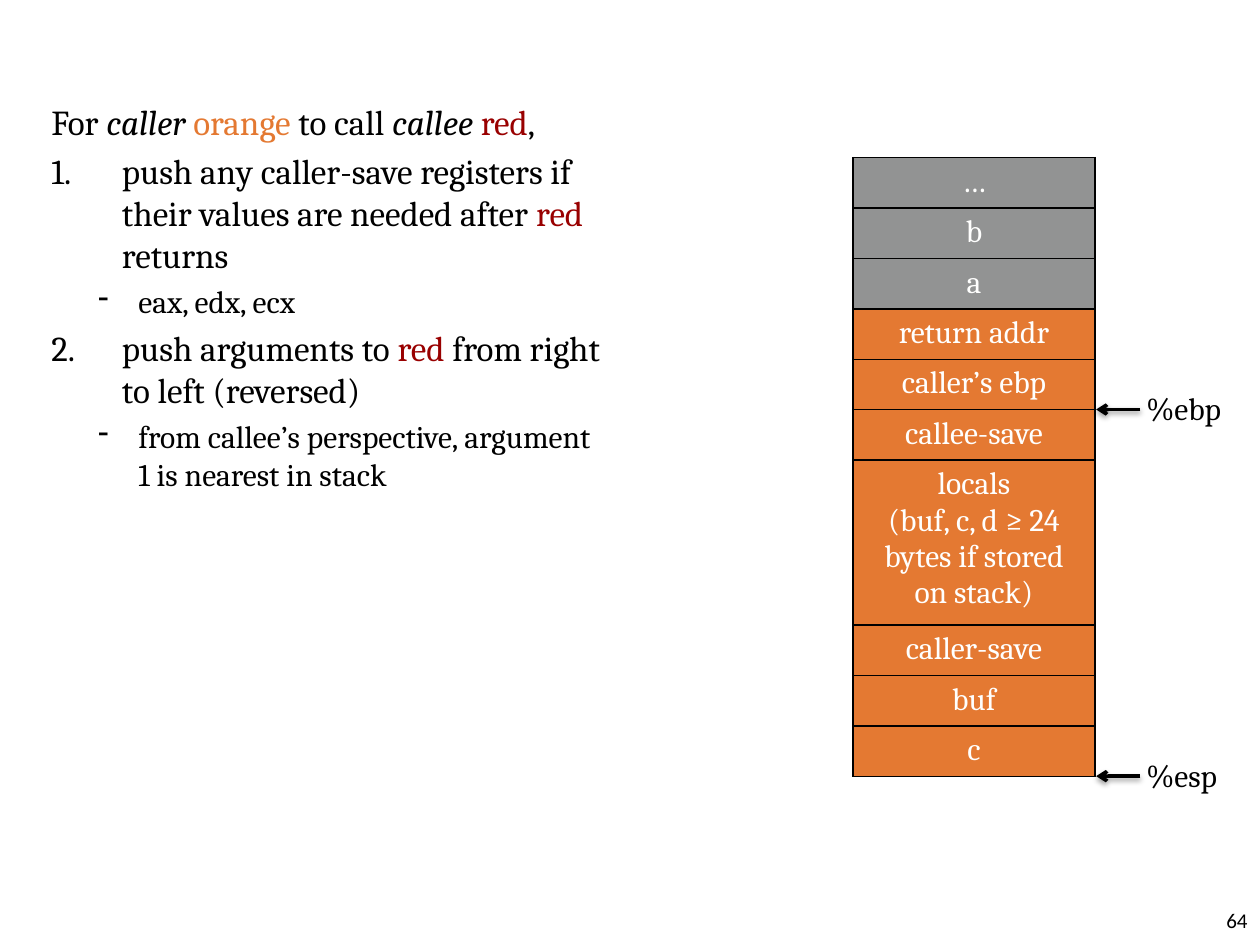
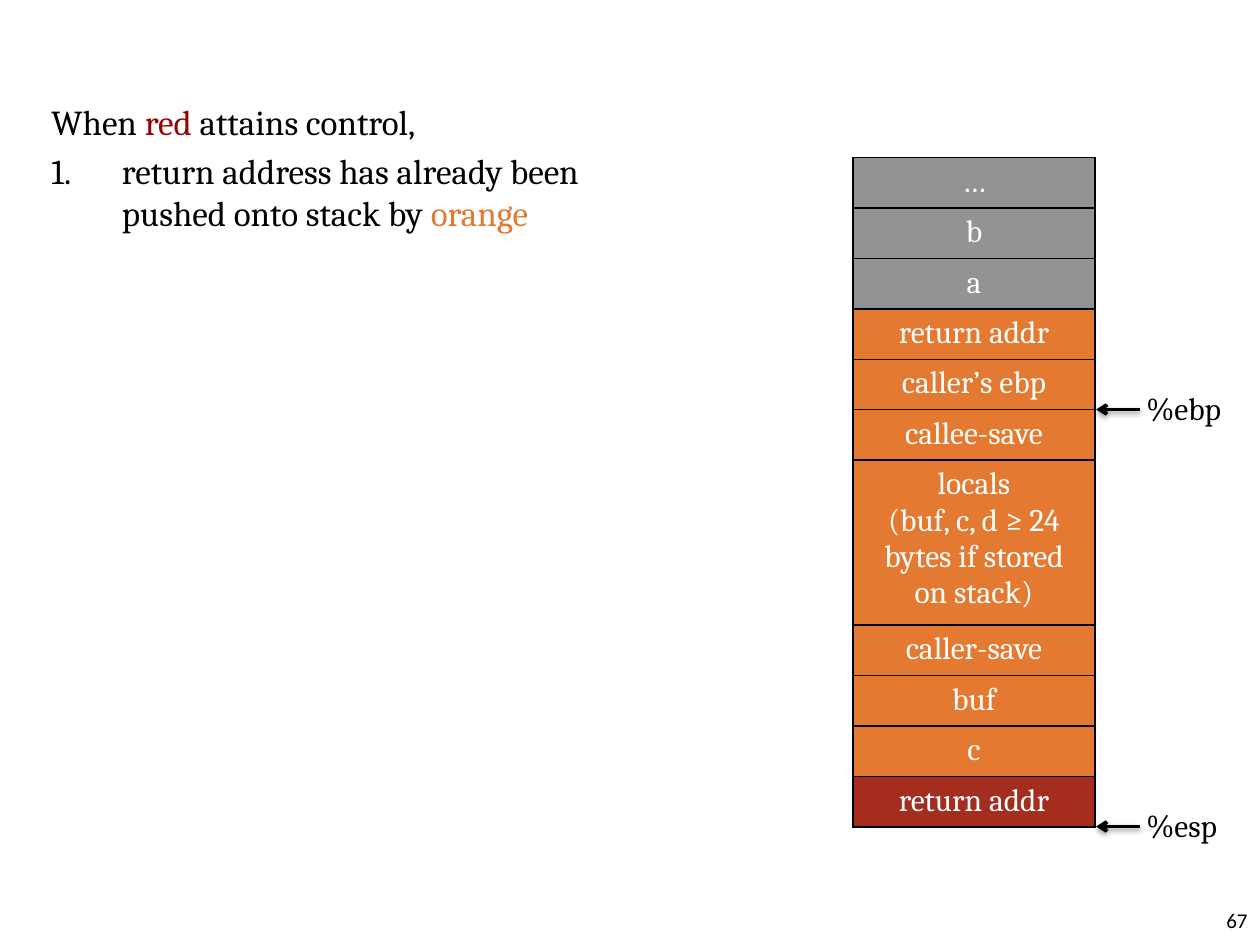
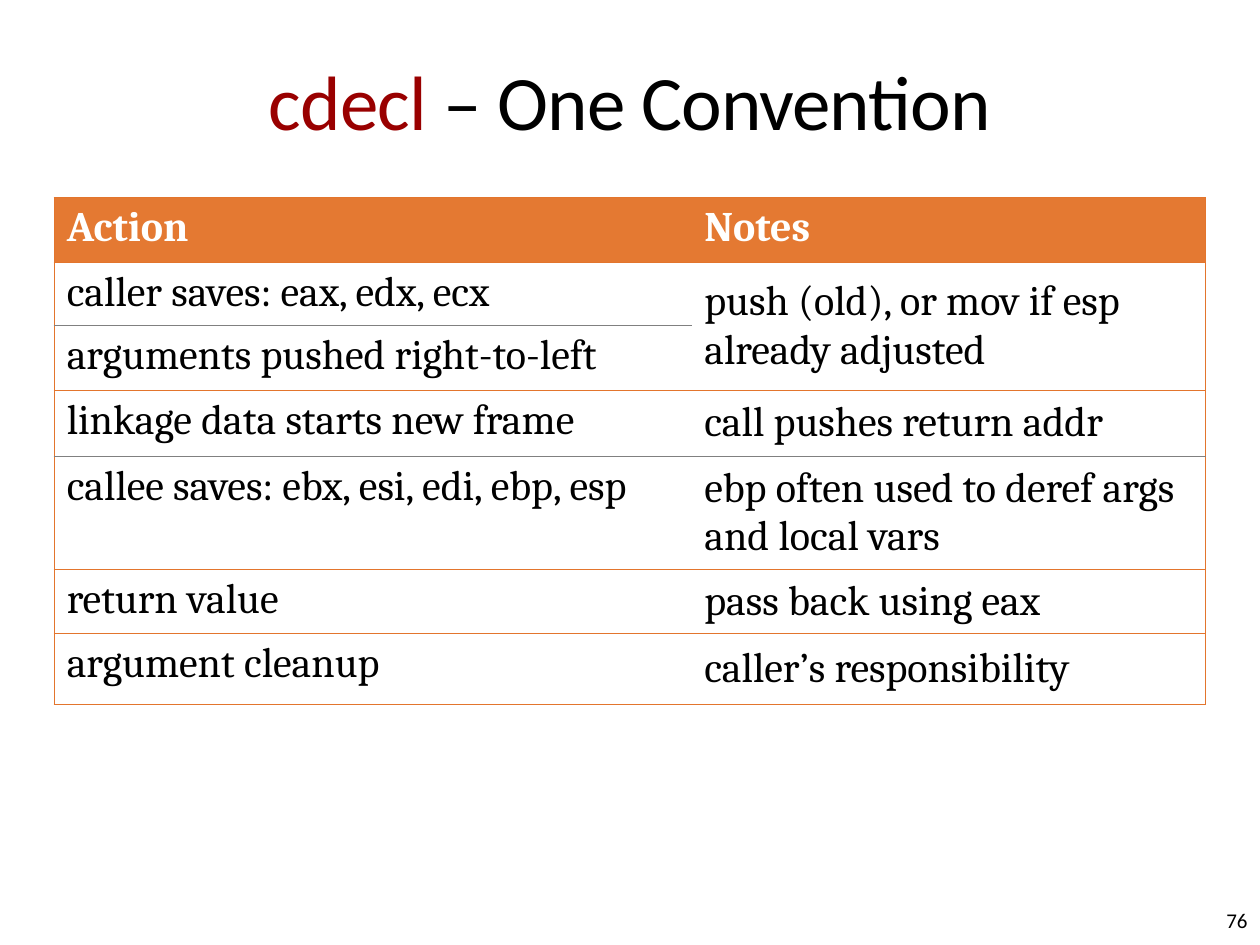
from lxml.etree import SubElement
from pptx import Presentation
from pptx.dml.color import RGBColor
from pptx.enum.shapes import MSO_CONNECTOR as Connector
from pptx.enum.text import MSO_ANCHOR as Anchor, MSO_AUTO_SIZE as AutoSize, PP_ALIGN as Align
from pptx.oxml.ns import qn
from pptx.util import Inches, Pt

COLORS = {
    "text": "000000",
    "white": "FFFFFE",
    "orange": "E47932",
    "red": "990000",
    "older_frame": "929393",
    "callee_frame": "A32D1F",
    "rule": "E3752D",
    "thin_rule": "808080",
}
SERIF, SANS = "Cambria", "Calibri"
TITLE_ONLY, BLANK = 5, 6
ROW_HEIGHT, LOCALS_HEIGHT = 0.4, 1.31

STACK = [
    ("…", "older_frame"),
    ("b", "older_frame"),
    ("a", "older_frame"),
    ("return addr", "orange"),
    ("caller’s ebp", "orange"),
    ("callee-save", "orange"),
    ("locals\n(buf, c, d ≥ 24 bytes if stored on stack)", "orange"),
    ("caller-save", "orange"),
    ("buf", "orange"),
    ("c", "orange"),
]
EBP_ROW = 5

CALLER_STEPS = [
    ("intro", [("For ", "text"), ("caller ", "text", True), ("orange", "orange"),
               (" to call ", "text"), ("callee ", "text", True), ("red", "red"), (",", "text")]),
    ("step", [("push any caller-save registers if their values are needed after ", "text"),
              ("red", "red"), (" returns", "text")]),
    ("detail", [("eax, edx, ecx", "text")]),
    ("step", [("push arguments to ", "text"), ("red ", "red"),
              ("from right to left (reversed)", "text")]),
    ("detail", [("from callee’s perspective, argument 1 is nearest in stack", "text")]),
]
CALLEE_STEPS = [
    ("intro", [("When ", "text"), ("red ", "red"), ("attains control,", "text")]),
    ("step", [("return address has already been pushed onto stack by ", "text"),
              ("orange", "orange")]),
]
STEP_STYLES = {
    "intro": (0, 20, 0.32, -0.32, None),
    "step": (0, 20, 0.56, -0.56, ("a:buAutoNum", {"type": "arabicPeriod"})),
    "detail": (1, 18, 0.69, -0.32, ("a:buChar", {"char": "-"})),
}

CONVENTION = [
    ("Action", "Notes", 0.51, "rule"),
    ("caller saves: eax, edx, ecx", "push (old), or mov if esp already adjusted", 0.5, "rule"),
    ("arguments pushed right-to-left", "", 0.52, "thin_rule"),
    ("linkage data starts new frame", "call pushes return addr", 0.52, "rule"),
    ("callee saves: ebx, esi, edi, ebp, esp", "ebp often used to deref args and local vars",
     0.88, "thin_rule"),
    ("return value", "pass back using eax", 0.51, "rule"),
    ("argument cleanup", "caller’s responsibility", 0.56, "rule"),
]


def rgb(color):
    return RGBColor.from_string(COLORS[color])


def add_run(paragraph, text, size, color="text", font=SERIF, bold=False, italic=False):
    run = paragraph.add_run()
    run.text = text
    run.font.name = font
    run.font.size = Pt(size)
    run.font.bold = bold
    run.font.italic = italic
    run.font.color.rgb = rgb(color)
    return run


def add_text_frame(shapes, left, top, width, height, wrap=True):
    box = shapes.add_textbox(Inches(left), Inches(top), Inches(width), Inches(height))
    box.text_frame.word_wrap = wrap
    return box.text_frame


def set_borders(cell, width, left, right, top, bottom):
    properties = cell._tc.get_or_add_tcPr()
    for side, color in zip("LRTB", (left, right, top, bottom)):
        edge = SubElement(properties, qn(f"a:ln{side}"), w=str(Pt(width)))
        if color:
            fill = SubElement(edge, qn("a:solidFill"))
            SubElement(fill, qn("a:srgbClr"), val=COLORS[color])
        else:
            SubElement(edge, qn("a:noFill"))


def add_plain_table(slide, left, top, widths, heights):
    table = slide.shapes.add_table(
        len(heights), len(widths), Inches(left), Inches(top),
        Inches(sum(widths)), Inches(sum(heights))).table
    table.first_row = table.horz_banding = False
    for column, width in zip(table.columns, widths):
        column.width = Inches(width)
    for row, height in zip(table.rows, heights):
        row.height = Inches(height)
    return table


def add_page_number(slide, number):
    frame = add_text_frame(slide.shapes, 9.33, 7.1, 0.67, 0.4)
    frame.vertical_anchor = Anchor.MIDDLE
    frame.paragraphs[0].alignment = Align.RIGHT
    add_run(frame.paragraphs[0], str(number), 12, font=SANS)


def add_steps(slide, steps, left, top, width, height):
    frame = add_text_frame(slide.shapes, left, top, width, height)
    for index, (kind, phrases) in enumerate(steps):
        level, size, margin, indent, marker = STEP_STYLES[kind]
        paragraph = frame.add_paragraph() if index else frame.paragraphs[0]
        paragraph.level = level
        properties = paragraph._p.get_or_add_pPr()
        properties.set("marL", str(Inches(margin)))
        properties.set("indent", str(Inches(indent)))
        if marker:
            tag, attributes = marker
            SubElement(properties, qn(tag), attributes)
        if index:
            paragraph.space_before = Pt(size * 0.2)
        for text, color, *italic in phrases:
            add_run(paragraph, text, size, color, italic=bool(italic))


def add_register_pointer(slide, register, stack_right, y):
    group = slide.shapes.add_group_shape()
    label = add_text_frame(group.shapes, stack_right + 0.31, y - 0.21, 0.84, 0.4, wrap=False)
    add_run(label.paragraphs[0], register, 18)
    arrow = group.shapes.add_connector(
        Connector.STRAIGHT, Inches(stack_right + 0.36), Inches(y),
        Inches(stack_right + 0.01), Inches(y))
    arrow.line.color.rgb = rgb("text")
    arrow.line.width = Pt(2)
    SubElement(arrow.line._get_or_add_ln(), qn("a:tailEnd"), type="arrow")
    effects = SubElement(arrow._element.spPr, qn("a:effectLst"))
    shadow = SubElement(effects, qn("a:outerShdw"), blurRad=str(Pt(3.1)), dist=str(Pt(1.6)),
                        dir="5400000", rotWithShape="0")
    shade = SubElement(shadow, qn("a:srgbClr"), val=COLORS["text"])
    SubElement(shade, qn("a:alpha"), val="38000")


def add_stack(slide, entries, left, top, width):
    heights = [LOCALS_HEIGHT if "\n" in text else ROW_HEIGHT for text, _ in entries]
    table = add_plain_table(slide, left, top, [width], heights)
    for row, (text, frame_color) in enumerate(entries):
        cell = table.cell(row, 0)
        set_borders(cell, 1, *["text"] * 4)
        cell.fill.solid()
        cell.fill.fore_color.rgb = rgb(frame_color)
        for index, line in enumerate(text.split("\n")):
            frame = cell.text_frame
            paragraph = frame.add_paragraph() if index else frame.paragraphs[0]
            paragraph.alignment = Align.CENTER
            add_run(paragraph, line, 18, "white")
    for register, row in (("%ebp", EBP_ROW), ("%esp", len(entries))):
        add_register_pointer(slide, register, left + width, top + sum(heights[:row]))


def add_convention_table(slide, left, top, widths):
    table = add_plain_table(slide, left, top, widths, [row[2] for row in CONVENTION])
    table.first_row = True
    rules = [row[3] for row in CONVENTION] + ["rule"]
    for row, (action, notes, _, _) in enumerate(CONVENTION):
        header = row == 0
        for column, text in enumerate((action, notes)):
            cell = table.cell(row, column)
            top_rule, bottom_rule = rules[row:row + 2]
            if column == 1 and row == 1:
                bottom_rule = None
            if column == 1 and row == 2:
                top_rule = None
            set_borders(cell, 0.75, None if column else "rule", "rule" if column else None,
                        top_rule, bottom_rule)
            if header:
                cell.fill.solid()
                cell.fill.fore_color.rgb = rgb("orange")
            else:
                cell.fill.background()
            if column and not header:
                cell.vertical_anchor = Anchor.MIDDLE
            if text:
                add_run(cell.text_frame.paragraphs[0], text, 24,
                        "white" if header else "text", bold=header)
    table.cell(1, 1).merge(table.cell(2, 1))


def format_title(slide, phrases, left, top, width, height):
    title = slide.shapes.title
    title.left, title.top = Inches(left), Inches(top)
    title.width, title.height = Inches(width), Inches(height)
    frame = title.text_frame
    frame.margin_left = frame.margin_right = 0
    frame.vertical_anchor = Anchor.MIDDLE
    frame.auto_size = AutoSize.NONE
    frame.paragraphs[0].alignment = Align.CENTER
    for text, color in phrases:
        run = add_run(frame.paragraphs[0], text, 44, color, SANS)
        run._r.get_or_add_rPr().set("spc", "-50")


def build_stack_slide(deck, steps, entries, number):
    slide = deck.slides.add_slide(deck.slide_layouts[BLANK])
    add_steps(slide, steps, 0.31, 0.75, 4.59, 6.37)
    add_page_number(slide, number)
    add_stack(slide, entries, 6.77, 1.25, 1.92)


def build_convention_slide(deck, number):
    slide = deck.slides.add_slide(deck.slide_layouts[TITLE_ONLY])
    format_title(slide, [("cdecl ", "red"), ("– One Convention", "text")], 0.5, 0.17, 9, 1.25)
    add_page_number(slide, number)
    add_convention_table(slide, 0.43, 1.57, [5.06, 4.08])


def main():
    deck = Presentation()
    deck.slide_width, deck.slide_height = Inches(10), Inches(7.5)
    build_stack_slide(deck, CALLER_STEPS, STACK, 64)
    build_stack_slide(deck, CALLEE_STEPS, STACK + [("return addr", "callee_frame")], 67)
    build_convention_slide(deck, 76)
    deck.save("out.pptx")


if __name__ == "__main__":
    main()
